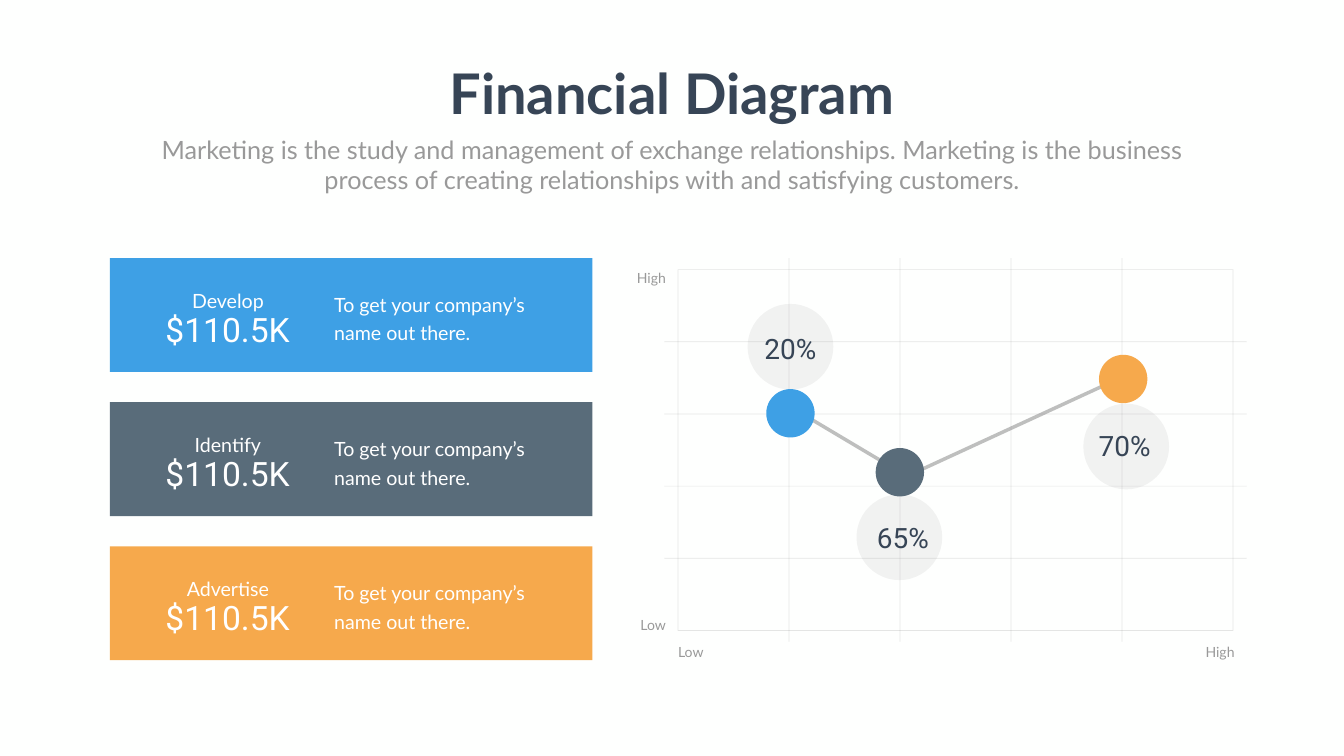
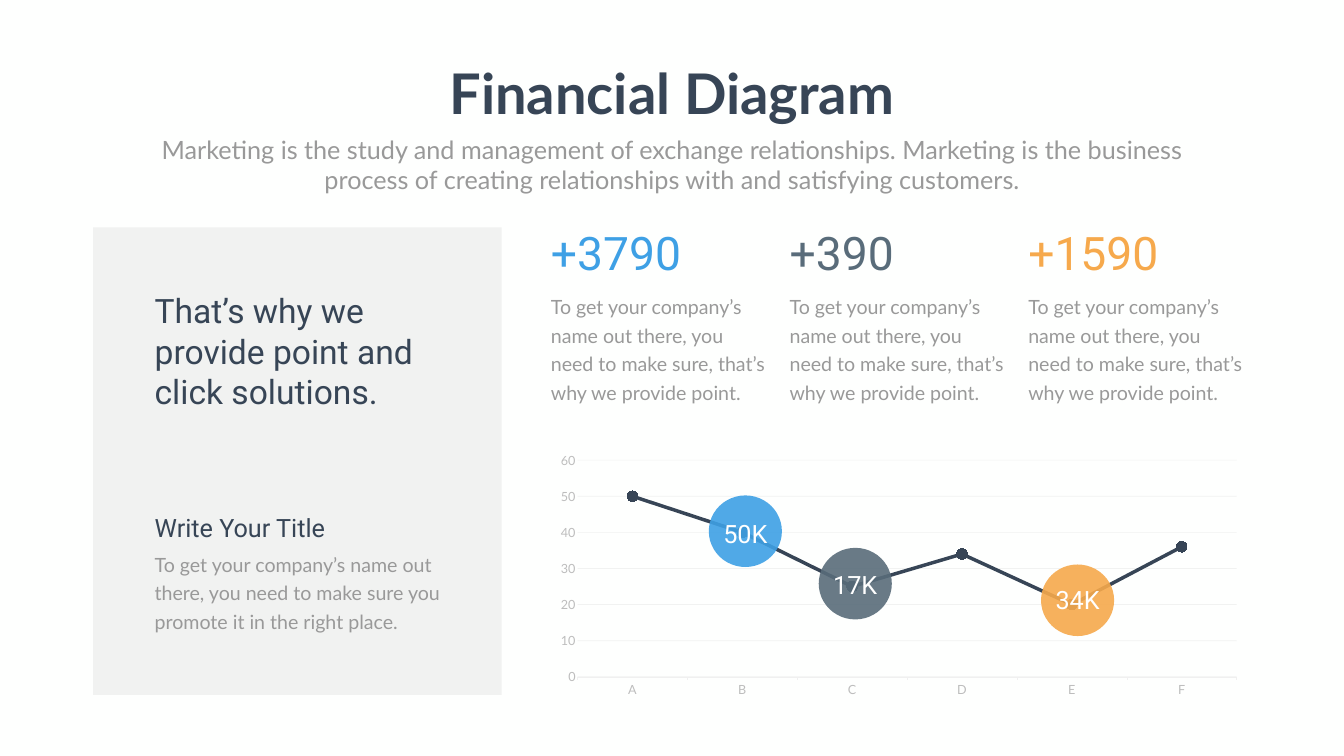
from collections import namedtuple

from lxml.etree import SubElement
from pptx import Presentation
from pptx.chart.data import CategoryChartData
from pptx.dml.color import RGBColor
from pptx.enum.chart import XL_CHART_TYPE, XL_MARKER_STYLE, XL_TICK_MARK
from pptx.enum.shapes import MSO_CONNECTOR, MSO_SHAPE
from pptx.enum.text import MSO_ANCHOR, PP_ALIGN
from pptx.oxml import parse_xml
from pptx.oxml.ns import nsdecls, qn
from pptx.util import Inches, Pt

# Every length is counted in square grid cells, 15 rows to the slide.
COLS, ROWS = 26.66, 15
CELL = Inches(1)
HUES = {
    "page": "FEFFFE", "white": "FFFFFF", "navy": "374556", "text": "999999",
    "gray": "808080", "blue": "3EA0E5", "slate": "596C7A", "amber": "F6A94C",
    "axis": "BDBDBD", "base": "F0F0F0", "mark": "313131",
}
TRIO = ("blue", "slate", "amber")
LEFT, MID, RIGHT = PP_ALIGN.LEFT, PP_ALIGN.CENTER, PP_ALIGN.RIGHT
LEAD = Pt(40.8)

Box = namedtuple("Box", "x y w h")


def cells(*nums):
    return [int(num * CELL) for num in nums]


def sub(box, x, y, w, h):
    """Box placed relative to the corner of another box."""
    return Box(box.x + x, box.y + y, w, h)


def around(x, y, w, h):
    """Box centred on a point."""
    return Box(x - w / 2, y - h / 2, w, h)


def hue(name):
    return RGBColor.from_string(HUES[name])


def fade(node, query, share):
    for tint in node.xpath(query):
        SubElement(tint, qn("a:alpha")).set("val", str(share * 1000))


def style(font, face, size, color, bold=False):
    font.name, font.size, font.bold = face, Pt(size), bold
    font.color.rgb = hue(color)


def write(frame, text, size, color, face="Lato", align=LEFT, lead=None,
          bold=False):
    para = frame.paragraphs[0]
    para.alignment = align
    if lead:
        para.line_spacing = lead
    run = para.add_run()
    run.text = text
    style(run.font, face, size, color, bold)


def label(slide, box, text, size, color, inset=True, **look):
    frame = slide.shapes.add_textbox(*cells(*box)).text_frame
    frame.word_wrap = True
    if not inset:
        frame.margin_left = frame.margin_right = 0
        frame.margin_top = frame.margin_bottom = 0
    write(frame, text, size, color, **look)


def shape(slide, kind, box, fill=None, share=100):
    item = slide.shapes.add_shape(kind, *cells(*box))
    item.shadow.inherit = False
    item.line.fill.background()
    if fill:
        item.fill.solid()
        item.fill.fore_color.rgb = hue(fill)
        if share < 100:
            fade(item.element, "./p:spPr/a:solidFill/a:srgbClr", share)
    else:
        item.fill.background()
    return item


def stroke(item, width, share):
    item.line.color.rgb = hue("gray")
    item.line.width = Pt(width)
    fade(item.element, ".//a:ln//a:srgbClr", share)


def rule(slide, x1, y1, x2, y2, width=1, share=20):
    item = slide.shapes.add_connector(
        MSO_CONNECTOR.STRAIGHT, *cells(x1, y1, x2, y2))
    stroke(item, width, share)
    SubElement(item.element.spPr, qn("a:effectLst"))


def heading(slide, box):
    title = slide.shapes.title
    title.left, title.top, title.width, title.height = cells(
        box.x, box.y, box.w, 1.45)
    frame = title.text_frame
    frame.word_wrap = False
    frame.vertical_anchor = MSO_ANCHOR.TOP
    write(frame, "Financial Diagram", 80, "navy", align=MID, bold=True)
    label(slide, sub(box, 0, 1.49, box.w, 1.31),
          "Marketing is the study and management of exchange relationships. "
          "Marketing is the business process of creating relationships with "
          "and satisfying customers.", 36, "text", align=MID)


def cards(slide, box):
    high, step = 2.26, 2.86
    for row, (name, fill) in enumerate(
            zip(("Develop", "Identify", "Advertise"), TRIO)):
        card = sub(box, 0, row * step, box.w, high)
        shape(slide, MSO_SHAPE.RECTANGLE, card, fill)
        label(slide, sub(card, 1.3, 0.46, 2.08, 0.49), name, 28, "white",
              align=MID, lead=LEAD)
        label(slide, sub(card, 0.97, 0.96, 2.73, 0.7), "$110.5K", 48, "white",
              face="Roboto", align=MID)
        label(slide, sub(card, 4.35, 0.54, 4.71, 1.19),
              "To get your company’s name out there.", 28, "white", lead=LEAD)


def mesh(slide, box, count=5):
    """Framed grid whose inner lines run past the frame."""
    stroke(shape(slide, MSO_SHAPE.RECTANGLE, box), 1, 20)
    right, base = box.x + box.w, box.y + box.h
    for step in range(1, count):
        x = box.x + step * box.w / count
        y = box.y + step * box.h / count
        rule(slide, x, box.y - 0.23, x, base + 0.22)
        rule(slide, box.x - 0.27, y, right + 0.27, y)
    for x, y, text, align in (
            (0, box.h + 0.25, "Low", LEFT),
            (box.w - 2.21, box.h + 0.25, "High", RIGHT),
            (-2.48, 0, "High", RIGHT),
            (-2.48, box.h - 0.28, "Low", RIGHT)):
        label(slide, sub(box, x, y, 2.24, 0.34), text, 20, "text",
              inset=False, align=align)


def route(slide, box):
    """Linked dots, each with a percentage bubble."""
    # dot centre, bubble centre, label centre
    stops = (
        ("20%", (2.23, 2.85), (2.23, 1.53), (2.23, 1.56)),
        ("65%", (4.4, 4.02), (4.39, 5.31), (4.46, 5.31)),
        ("70%", (8.83, 2.17), (8.89, 3.51), (8.86, 3.48)),
    )
    for text, _, bubble, spot in stops:
        shape(slide, MSO_SHAPE.OVAL, sub(box, *around(*bubble, 1.7, 1.7)),
              "gray", 10)
        label(slide, sub(box, *around(*spot, 1.64, 0.77)), text, 40, "navy",
              face="Roboto", align=MID)
    for x1, y1, x2, y2 in ((2.46, 2.86, 4.19, 3.89), (4.67, 4.04, 8.53, 2.26)):
        rule(slide, box.x + x1, box.y + y1, box.x + x2, box.y + y2, 5, 50)
    for (_, dot, _, _), fill in zip(stops, TRIO):
        shape(slide, MSO_SHAPE.OVAL, sub(box, *around(*dot, 0.96, 0.96)), fill)


def panel(slide, box):
    shape(slide, MSO_SHAPE.RECTANGLE, box, "gray", 10)
    label(slide, sub(box, 1.12, 1.2, 6.14, 2.52),
          "That’s why we provide point and click solutions.", 48, "navy",
          face="Roboto")
    label(slide, sub(box, 1.12, 5.6, 5.73, 0.71), "Write Your Title", 36,
          "navy", face="Roboto")
    label(slide, sub(box, 1.12, 6.31, 6.14, 1.77),
          "To get your company’s name out there, you need to make sure you "
          "promote it in the right place.", 28, "text", lead=LEAD)


def stats(slide, box):
    wide = 4.5
    step = (box.w - wide) / 2
    for col, (text, color) in enumerate(zip(("+3790", "+390", "+1590"), TRIO)):
        label(slide, sub(box, col * step, 0, wide, 1.21), text, 66, color,
              face="Roboto")
        label(slide, sub(box, col * step, 1.3, wide, 2.34),
              "To get your company’s name out there, you need to make sure, "
              "that’s why we provide point.", 28, "text", lead=LEAD)


def fix_plot(chart, x, y, w, h):
    """Pin the inner plot area to shares of the chart."""
    plot = chart.element.xpath(".//c:plotArea")[0]
    for old in plot.findall(qn("c:layout")):
        plot.remove(old)
    sizes = "".join(f'<c:{tag} val="{val}"/>' for tag, val in
                    zip("xywh", (x, y, w, h)))
    plot.insert(0, parse_xml(
        f'<c:layout {nsdecls("c")}><c:manualLayout>'
        '<c:layoutTarget val="inner"/><c:xMode val="edge"/>'
        f'<c:yMode val="edge"/>{sizes}</c:manualLayout></c:layout>'))


def trend(slide, box):
    data = CategoryChartData()
    data.categories = list("ABCDEF")
    data.add_series("Series 1", (50, 40, 25, 34, 20, 36))
    chart = slide.shapes.add_chart(
        XL_CHART_TYPE.LINE_MARKERS_STACKED, *cells(*box), data).chart
    chart.has_title = chart.has_legend = False
    style(chart.font, "Lato", 18, "text")
    fix_plot(chart, 0.04, 0.05, 0.94, 0.86)

    plot = chart.plots[0]
    plot.vary_by_categories = False
    line = plot.series[0]
    line.smooth = False
    line.format.line.color.rgb = hue("navy")
    line.format.line.width = Pt(5)
    line.marker.style, line.marker.size = XL_MARKER_STYLE.CIRCLE, 15
    line.marker.format.fill.solid()
    line.marker.format.fill.fore_color.rgb = hue("mark")
    line.marker.format.line.color.rgb = hue("navy")

    cat, val = chart.category_axis, chart.value_axis
    for axis in (cat, val):
        style(axis.tick_labels.font, "Lato", 18, "axis")
        axis.minor_tick_mark = XL_TICK_MARK.NONE
    cat.major_tick_mark = XL_TICK_MARK.OUTSIDE
    cat.format.line.color.rgb = hue("base")
    cat.format.line.width = Pt(0.75)
    val.major_tick_mark = XL_TICK_MARK.NONE
    val.format.line.fill.background()
    val.minimum_scale, val.maximum_scale, val.major_unit = 0, 60, 10
    grid = val.major_gridlines.format.line
    grid.color.rgb = hue("gray")
    grid.width = Pt(1)
    fade(chart.element, ".//c:majorGridlines//a:srgbClr", 10)

    spots = (("50K", 3.16, 0.95, 0.41), ("17K", 5.34, 1.99, 0.37),
             ("34K", 9.75, 2.32, 0.35))
    for (text, x, y, drop), fill in zip(spots, TRIO):
        bubble = sub(box, x, y, 1.45, 1.42)
        shape(slide, MSO_SHAPE.OVAL, bubble, fill, 90)
        label(slide, sub(bubble, 0.02, drop, 1.41, 0.71), text, 36, "white",
              face="Roboto", align=MID)


def main():
    deck = Presentation()
    deck.slide_width, deck.slide_height = cells(COLS, ROWS)
    page = deck.slide_master.background.fill
    page.solid()
    page.fore_color.rgb = hue("page")

    regions = (
        ((mesh, Box(13.45, 5.35, 11.01, 7.16)),
         (route, Box(13.45, 5.35, 11.01, 7.16)),
         (cards, Box(2.18, 5.12, 9.57, 7.98))),
        ((trend, Box(10.9, 8.88, 13.91, 5)),
         (panel, Box(1.85, 4.51, 8.1, 9.28)),
         (stats, Box(10.83, 4.41, 13.97, 3.64))),
    )
    for parts in regions:
        slide = deck.slides.add_slide(deck.slide_layouts[5])
        for draw, box in parts:
            draw(slide, box)
        heading(slide, Box(2.92, 1.12, 20.82, 2.8))
    deck.save("out.pptx")


if __name__ == "__main__":
    main()
